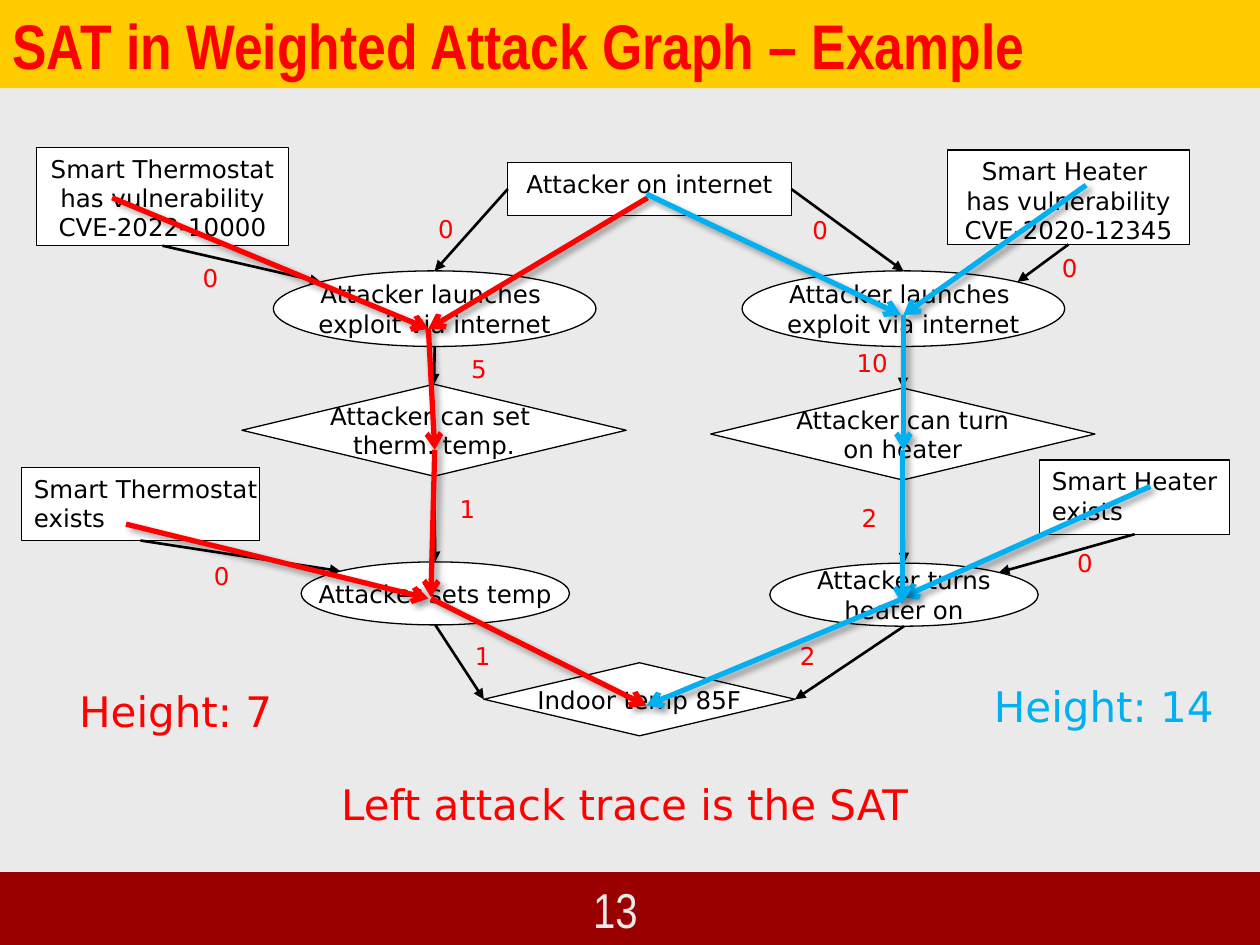
from lxml import etree
from pptx import Presentation, util as u
from pptx.dml.color import RGBColor
from pptx.enum import shapes, text
from pptx.oxml import ns

RED = RGBColor(0xFF, 0x00, 0x00)
BLUE = RGBColor(0x00, 0xB0, 0xF0)
BLACK = RGBColor(0x00, 0x00, 0x00)
WHITE = RGBColor(0xFF, 0xFF, 0xFF)
GREY = RGBColor(0xEA, 0xEA, 0xEA)
YELLOW = RGBColor(0xFF, 0xCC, 0x00)
MAROON = RGBColor(0x9A, 0x00, 0x00)

RECT = shapes.MSO_SHAPE.RECTANGLE
OVAL = shapes.MSO_SHAPE.OVAL
DIAMOND = shapes.MSO_SHAPE.DIAMOND
DECISION = shapes.MSO_SHAPE.FLOWCHART_DECISION
LEFT, CENTER, RIGHT = text.PP_ALIGN.LEFT, text.PP_ALIGN.CENTER, text.PP_ALIGN.RIGHT
TOP, MIDDLE, BOTTOM = (text.MSO_ANCHOR.TOP, text.MSO_ANCHOR.MIDDLE,
                       text.MSO_ANCHOR.BOTTOM)

# Connection sites as fractions of a node's width and height
SITES = {"top": (0.5, 0), "bottom": (0.5, 1), "left": (0, 0.5), "right": (1, 0.5),
         "top left": (0.146, 0.146), "top right": (0.854, 0.146)}


def set_values(target, values):
    """Set each attribute named in values on the target."""
    for name, value in values.items():
        setattr(target, name, value)


class GraphSlide:
    """Style and drawing methods for one attack graph slide."""

    body_font = "DejaVu Sans"
    heading_font = "Arial Narrow"

    def __init__(self, presentation):
        """Add a blank slide with a grey background."""
        self.slide = presentation.slides.add_slide(presentation.slide_layouts[6])
        fill = self.slide.background.fill
        fill.solid()
        fill.fore_color.rgb = GREY

    def put_text(self, shape, words, font, color, align=LEFT, **frame_format):
        """Put formatted text in a shape."""
        frame = shape.text_frame
        frame.text = words
        set_values(frame, frame_format)
        for paragraph in frame.paragraphs:
            paragraph.alignment = align
            for run in paragraph.runs:
                set_values(run.font, font)
                run.font.color.rgb = color

    def box(self, kind, bounds, fill, line=None):
        """Draw a filled preset shape, outlined when a line colour is given."""
        shape = self.slide.shapes.add_shape(kind, *map(u.Inches, bounds))
        shape.shadow.inherit = False
        shape.fill.solid()
        shape.fill.fore_color.rgb = fill
        if line is None:
            shape.line.fill.background()
        else:
            shape.line.color.rgb = line
            shape.line.width = u.Pt(0.75)
        return shape

    def heading(self, shape, words, color, align, size, bold=False):
        """Put heading text at the bottom of a band."""
        font = {"name": self.heading_font, "size": u.Pt(size), "bold": bold}
        self.put_text(shape, words, font, color, align,
                      vertical_anchor=BOTTOM, word_wrap=True)

    def node(self, kind, bounds, words, align=CENTER):
        """Draw a graph node; rectangles hold their text at the top."""
        shape = self.box(kind, bounds, WHITE, BLACK)
        font = {"name": self.body_font, "size": u.Pt(14)}
        self.put_text(shape, words, font, BLACK, align, word_wrap=False,
                      vertical_anchor=TOP if kind == RECT else MIDDLE)

    def label(self, bounds, words, size=14, color=RED):
        """Add a free text label."""
        shape = self.slide.shapes.add_textbox(*map(u.Inches, bounds))
        font = {"name": self.body_font, "size": u.Pt(size)}
        self.put_text(shape, words, font, color, word_wrap=False,
                      auto_size=text.MSO_AUTO_SIZE.SHAPE_TO_FIT_TEXT)

    def arrow(self, start, end, color=BLACK, width=1.5, head="triangle", shadow=False):
        """Draw a straight arrow, with a soft shadow on request."""
        connector = self.slide.shapes.add_connector(
            shapes.MSO_CONNECTOR.STRAIGHT, *map(u.Inches, (*start, *end)))
        connector.line.color.rgb = color
        connector.line.width = u.Pt(width)
        properties = connector._element.spPr
        line = properties.find(ns.qn("a:ln"))
        etree.SubElement(line, ns.qn("a:tailEnd"), type=head)
        effects = etree.SubElement(properties, ns.qn("a:effectLst"))
        if shadow:
            outer = etree.SubElement(
                effects, ns.qn("a:outerShdw"), blurRad=str(u.Pt(4)),
                dist=str(u.Pt(3)), dir="2700000", algn="tl", rotWithShape="0")
            shade = etree.SubElement(outer, ns.qn("a:srgbClr"), val="000000")
            etree.SubElement(shade, ns.qn("a:alpha"), val="40000")


NODES = {
    "thermostat flaw": (RECT, (0.29, 1.17, 2, 0.78),
                        "Smart Thermostat\vhas vulnerability\vCVE-2022-10000"),
    "attacker": (RECT, (4.03, 1.29, 2.25, 0.42), "Attacker on internet"),
    "left exploit": (OVAL, (2.17, 2.15, 2.56, 0.6),
                     "Attacker launches \vexploit via internet"),
    "can set": (DIAMOND, (1.92, 3.05, 3.05, 0.73), "Attacker can set \vtherm. temp."),
    "sets": (OVAL, (2.39, 4.46, 2.13, 0.5), "Attacker sets temp"),
    "thermostat": (RECT, (0.17, 3.71, 1.89, 0.58), "Smart Thermostat \vexists", LEFT),
    "indoor": (DECISION, (3.84, 5.26, 2.47, 0.58), "Indoor temp 85F"),
    "heater flaw": (RECT, (7.52, 1.19, 1.92, 0.75),
                    "Smart Heater \nhas vulnerability\nCVE-2020-12345"),
    "right exploit": (OVAL, (5.89, 2.15, 2.56, 0.6),
                      "Attacker launches \vexploit via internet"),
    "can turn": (DIAMOND, (5.64, 3.08, 3.05, 0.73), "Attacker can turn\von heater"),
    "heater": (RECT, (8.25, 3.65, 1.51, 0.59), "Smart Heater\vexists", LEFT),
    "turns": (OVAL, (6.11, 4.47, 2.13, 0.5), "Attacker turns\vheater on"),
}

EDGES = [
    ("thermostat flaw", "bottom", "left exploit", "top left"),
    ("attacker", "left", "left exploit", "top"),
    ("left exploit", "bottom", "can set", "top"),
    ("can set", "bottom", "sets", "top"),
    ("thermostat", "bottom", "sets", "top left"),
    ("sets", "bottom", "indoor", "left"),
    ("heater flaw", "bottom", "right exploit", "top right"),
    ("attacker", "right", "right exploit", "top"),
    ("right exploit", "bottom", "can turn", "top"),
    ("can turn", "bottom", "turns", "top"),
    ("heater", "bottom", "turns", "top right"),
    ("turns", "bottom", "indoor", "right"),
]

WEIGHTS = [
    (1.51, 2.04, "0"), (3.38, 1.65, "0"), (6.35, 1.66, "0"), (8.33, 1.96, "0"),
    (6.74, 3.94, "2"), (3.64, 2.76, "5"), (3.55, 3.87, "1"), (1.6, 4.4, "0"),
    (6.7, 2.71, "10"), (8.45, 4.3, "0"), (3.67, 5.04, "1"), (6.25, 5.04, "2"),
]

TRACES = {
    RED: [((0.89, 1.57), (3.4, 2.61)), ((5.14, 1.57), (3.4, 2.61)),
          ((3.4, 2.61), (3.45, 3.57)), ((1, 4.16), (3.4, 4.75)),
          ((3.45, 3.57), (3.42, 4.74)), ((3.42, 4.75), (5.13, 5.6))],
    BLUE: [((5.13, 1.54), (7.15, 2.5)), ((8.62, 1.47), (7.17, 2.5)),
           ((7.17, 2.5), (7.17, 3.57)), ((9.13, 3.86), (7.16, 4.74)),
           ((7.16, 3.57), (7.16, 4.79)), ((7.17, 4.75), (5.13, 5.6))],
}

RESULTS = [
    ((0.53, 5.39, 1.79, 0.5), "Height: 7", RED),
    ((7.79, 5.35, 2, 0.5), "Height: 14", BLUE),
    ((2.61, 6.13, 4.79, 0.5), "Left attack trace is the SAT", RED),
]


def site(node, side):
    """Return the point where an edge meets a node."""
    left, top, width, height = NODES[node][1]
    across, down = SITES[side]
    return left + across * width, top + down * height


def main():
    """Build and save the slide."""
    presentation = Presentation()
    set_values(presentation, {"slide_width": u.Inches(10), "slide_height": u.Inches(7.5)})
    graph = GraphSlide(presentation)

    graph.box(RECT, (0, 6.93, 10, 0.57), MAROON, MAROON)
    page_number = graph.box(RECT, (4.08, 6.95, 1.08, 0.55), MAROON, MAROON)
    graph.heading(page_number, "13", GREY, RIGHT, 28)
    title = graph.box(RECT, (0, 0, 10, 0.7), YELLOW)
    graph.heading(title, "SAT in Weighted Attack Graph – Example ", RED, LEFT, 36, True)

    for node in NODES.values():
        graph.node(*node)
    for source, source_side, target, target_side in EDGES:
        graph.arrow(site(source, source_side), site(target, target_side))
    for left, top, weight in WEIGHTS:
        graph.label((left, top, 0.21 + 0.12 * len(weight), 0.34), weight)
    for color, steps in TRACES.items():
        for start, end in steps:
            graph.arrow(start, end, color, 3, "arrow", shadow=True)
    for bounds, words, color in RESULTS:
        graph.label(bounds, words, 24, color)

    presentation.save("out.pptx")


main()
